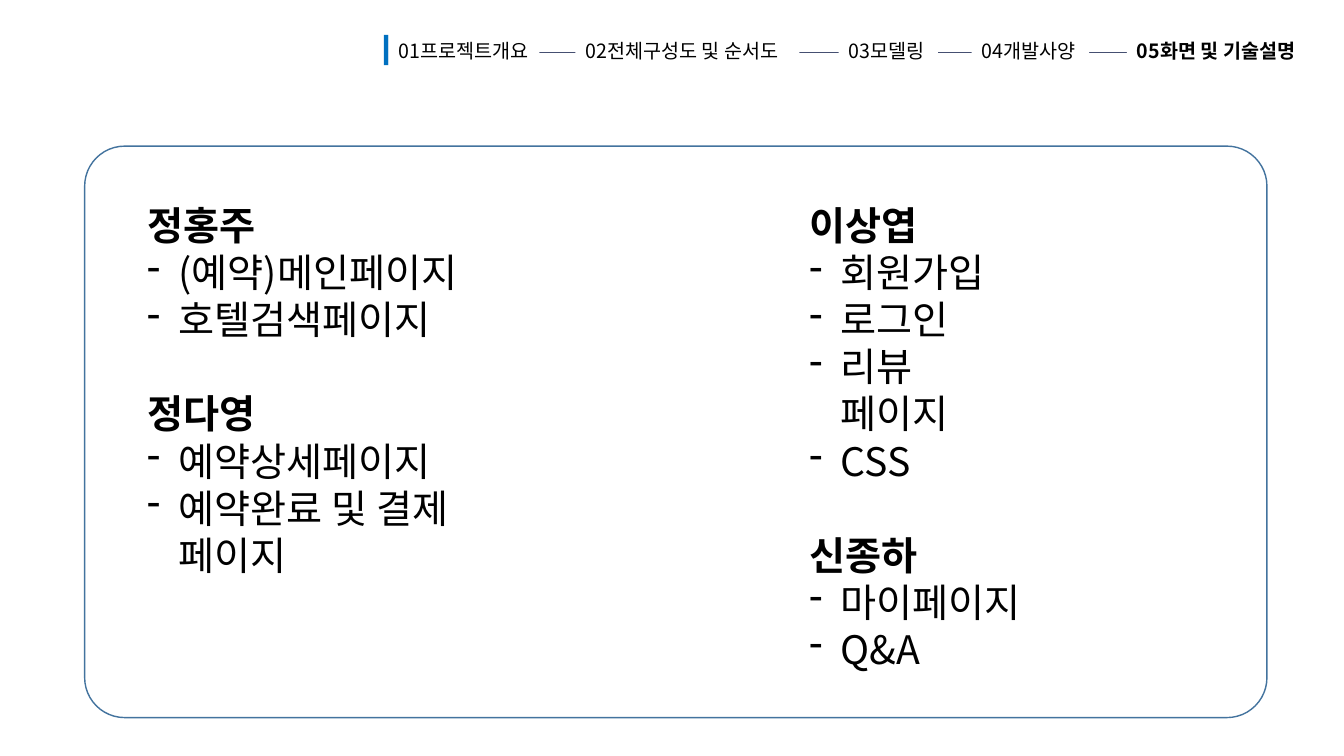
"""Build the team role slide with its section navigation."""
from lxml import etree
from pptx import Presentation
from pptx.dml.color import RGBColor
from pptx.enum.shapes import MSO_CONNECTOR, MSO_SHAPE
from pptx.enum.text import MSO_ANCHOR, PP_ALIGN
from pptx.oxml.ns import qn
from pptx.util import Pt

STRAIGHT = MSO_CONNECTOR.STRAIGHT
RECTANGLE = MSO_SHAPE.RECTANGLE
ROUNDED = MSO_SHAPE.ROUNDED_RECTANGLE
TOP = MSO_ANCHOR.TOP
LEFT = PP_ALIGN.LEFT
FONT = "Noto Sans CJK KR"

SECTIONS = [
    ("01프로젝트개요", 277.4, 108),
    ("02전체구성도 및 순서도", 411, 160),
    ("03모델링", 599, 71),
    ("04개발사양", 694, 84),
    ("05화면 및 기술설명", 805, 130),
]
CURRENT = "05화면 및 기술설명"
COLUMNS = [
    (98, 308, 279, [
        ("정홍주", ["(예약)메인페이지", "호텔검색페이지"]),
        ("정다영", ["예약상세페이지", "예약완료 및 결제 페이지"]),
    ]),
    (571, 169, 312.5, [
        ("이상엽", ["회원가입", "로그인", "리뷰 페이지", "CSS"]),
        ("신종하", ["마이페이지", "Q&A"]),
    ]),
]
ROLE_SIZE = 28
LINE_HEIGHT = 33.6
INDENT = 22.5


def color(value):
    return RGBColor.from_string(value)


def add_block(page, kind, left, top, width, height, fill=None, line=None):
    block = page.shapes.add_shape(kind, Pt(left), Pt(top), Pt(width), Pt(height))
    block.shadow.inherit = False
    if fill:
        block.fill.solid()
        block.fill.fore_color.rgb = color(fill)
    else:
        block.fill.background()
    if line:
        block.line.color.rgb = color(line)
        block.line.width = Pt(1)
    else:
        block.line.fill.background()
    return block


def style(para, size, bold):
    para.alignment = LEFT
    for span in para.runs:
        span.font.name = FONT
        span.font.size = Pt(size)
        span.font.bold = bold
        span.font.color.rgb = color("000000")
        latin = span.font._element.find(qn("a:latin"))
        east_asian = etree.Element(qn("a:ea"), typeface=FONT)
        latin.addnext(east_asian)


def add_dash(para):
    properties = para._p.get_or_add_pPr()
    properties.set("marL", str(Pt(INDENT)))
    properties.set("indent", str(-Pt(INDENT)))
    etree.SubElement(properties, qn("a:buFontTx"))
    etree.SubElement(properties, qn("a:buChar"), char="-")


def add_navigation(page):
    add_block(page, RECTANGLE, 274.3, 25, 3.4, 21.5, "0070C0")
    rule = page.shapes.add_connector(STRAIGHT, Pt(299.5), Pt(37.4), Pt(925), Pt(37.4))
    rule.line.color.rgb = color("454F71")
    rule.line.width = Pt(1)
    etree.SubElement(rule._element.spPr, qn("a:effectLst"))
    for label, left, width in SECTIONS:
        box = add_block(page, RECTANGLE, left, 24.5, width, 24.2, "FFFFFF")
        frame = box.text_frame
        frame.text = label
        frame.word_wrap = True
        frame.vertical_anchor = TOP
        style(frame.paragraphs[0], 14, label == CURRENT)


def add_roles(page, left, width, height, members):
    box = page.shapes.add_textbox(Pt(left), Pt(140.4), Pt(width), Pt(height))
    frame = box.text_frame
    frame.word_wrap = True
    for position, (name, tasks) in enumerate(members):
        heading = frame.add_paragraph() if position else frame.paragraphs[0]
        heading.text = name
        if position:
            heading.space_before = Pt(LINE_HEIGHT)
        style(heading, ROLE_SIZE, True)
        for task in tasks:
            para = frame.add_paragraph()
            para.text = task
            add_dash(para)
            style(para, ROLE_SIZE, False)


def main():
    deck = Presentation()
    deck.slide_width, deck.slide_height = Pt(960), Pt(540)
    page = deck.slides.add_slide(deck.slide_layouts[6])
    add_navigation(page)
    for column in COLUMNS:
        add_roles(page, *column)
    panel = add_block(page, ROUNDED, 60.5, 104.4, 844.5, 408.2, line="43739E")
    panel.adjustments[0] = 0.07
    deck.save("out.pptx")


if __name__ == "__main__":
    main()
